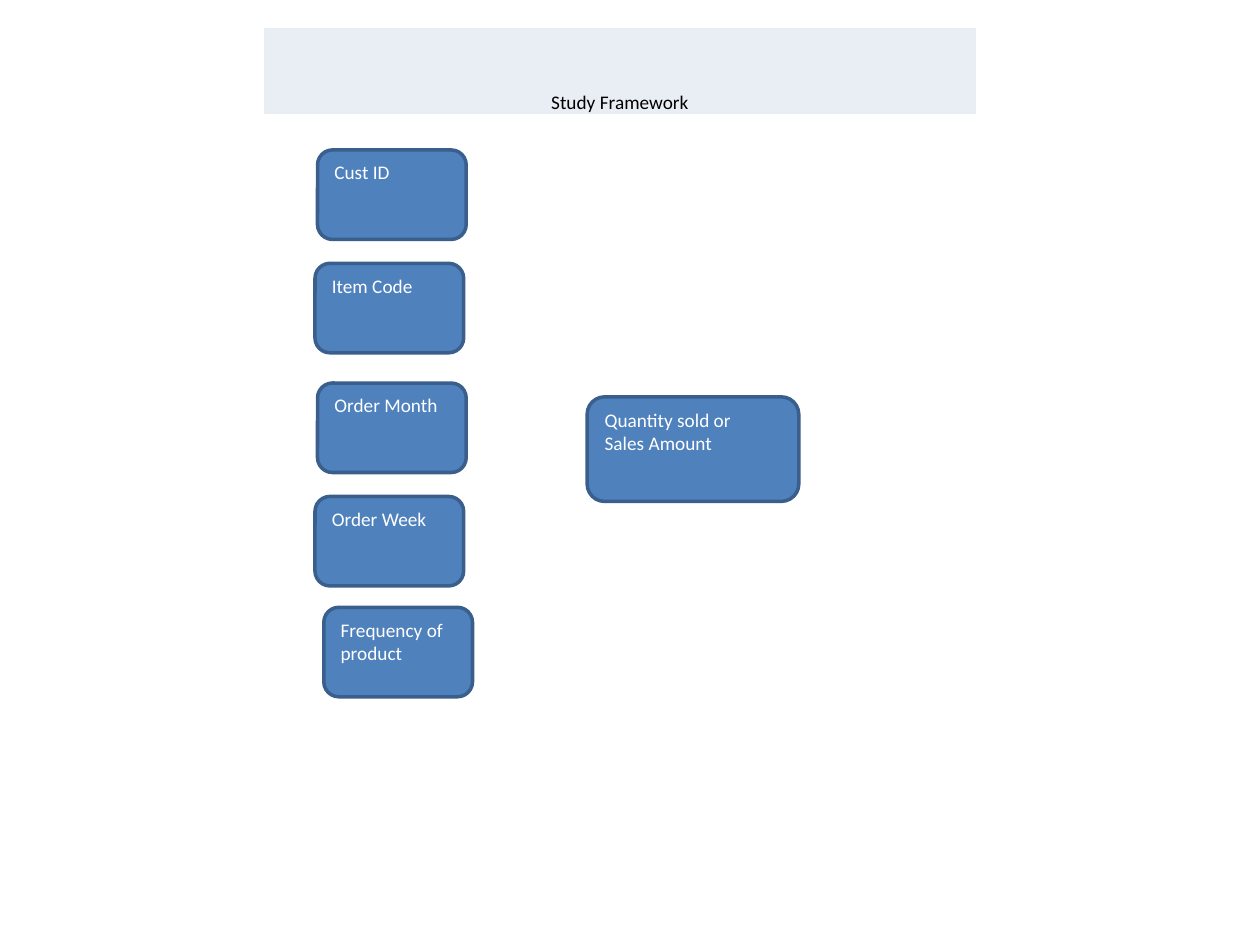
"""Study framework: a title band, five input factors and one outcome."""
from lxml.etree import SubElement
from pptx import Presentation
from pptx.dml.color import RGBColor as Rgb
from pptx.enum.shapes import MSO_SHAPE as Shape
from pptx.enum.text import MSO_ANCHOR as Anchor, PP_ALIGN as Align
from pptx.oxml.ns import qn
from pptx.util import Inches, Pt

COLORS = {"band": "E9EDF4", "border": "FFFFFF", "title": "000000",
          "box": "4F81BD", "edge": "3A5F8C", "label": "FFFFFF"}


def color(name):
    return Rgb.from_string(COLORS[name])


def write(frame, lines, ink, align):
    for number, line in enumerate(lines):
        para = frame.paragraphs[0] if number == 0 else frame.add_paragraph()
        para.alignment = align
        span = para.add_run()
        span.text = line
        span.font.name = "Calibri"
        span.font.size = Pt(11)
        span.font.color.rgb = color(ink)


deck = Presentation()
deck.slide_width, deck.slide_height = Inches(10), Inches(7.5)
page = deck.slides.add_slide(deck.slide_layouts[6])

band = page.shapes.add_table(1, 1, Inches(2.09), Inches(0.22), Inches(5.66), Inches(0.69)).table
band.first_row = band.horz_banding = False
cell = band.cell(0, 0)
cell.margin_left = cell.margin_right = cell.margin_top = Inches(0.01)
cell.margin_bottom = 0
cell.vertical_anchor = Anchor.BOTTOM
write(cell.text_frame, ["Study Framework"], "title", Align.CENTER)
cell_props = cell._tc.get_or_add_tcPr()
for side in ("a:lnL", "a:lnR", "a:lnT", "a:lnB"):
    border = SubElement(cell_props, qn(side), w=str(Pt(1)))
    paint = SubElement(border, qn("a:solidFill"))
    SubElement(paint, qn("a:srgbClr"), val=COLORS["border"])
cell.fill.solid()
cell.fill.fore_color.rgb = color("band")

factor_size, outcome_size = (1.18, 0.71), (1.68, 0.83)
boxes = [
    (2.52, 1.19, factor_size, ["Cust ID"]),
    (2.5, 2.09, factor_size, ["Item Code"]),
    (2.52, 3.04, factor_size, ["Order Month"]),
    (2.5, 3.94, factor_size, ["Order Week"]),
    (2.57, 4.82, factor_size, ["Frequency of product"]),
    (4.66, 3.15, outcome_size, ["Quantity sold or", "Sales Amount"]),
]
framework = page.shapes.add_group_shape()
for left, top, (width, height), lines in boxes:
    box = framework.shapes.add_shape(
        Shape.ROUNDED_RECTANGLE, Inches(left), Inches(top), Inches(width), Inches(height))
    box.shadow.inherit = False
    box.fill.solid()
    box.fill.fore_color.rgb = color("box")
    box.line.color.rgb = color("edge")
    box.line.width = Pt(2)
    box.text_frame.word_wrap = True
    box.text_frame.vertical_anchor = Anchor.TOP
    write(box.text_frame, lines, "label", Align.LEFT)

deck.save("out.pptx")
